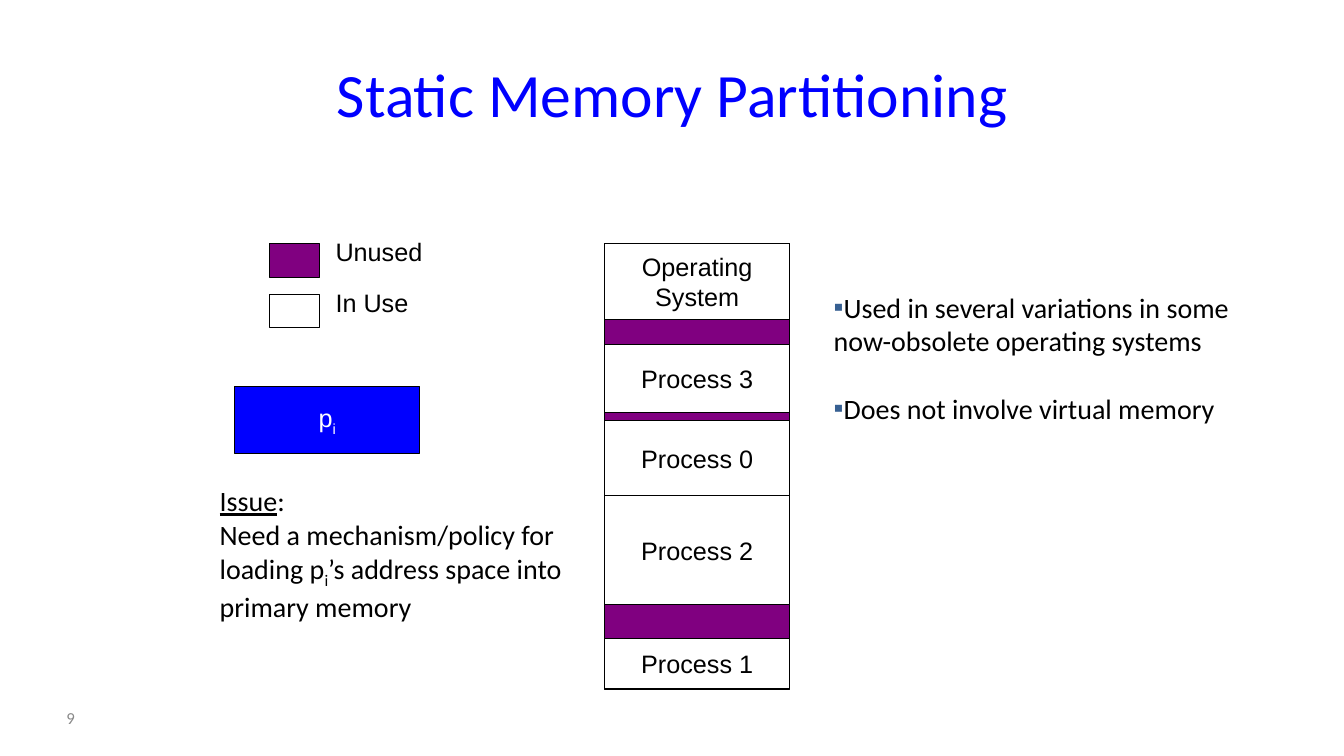
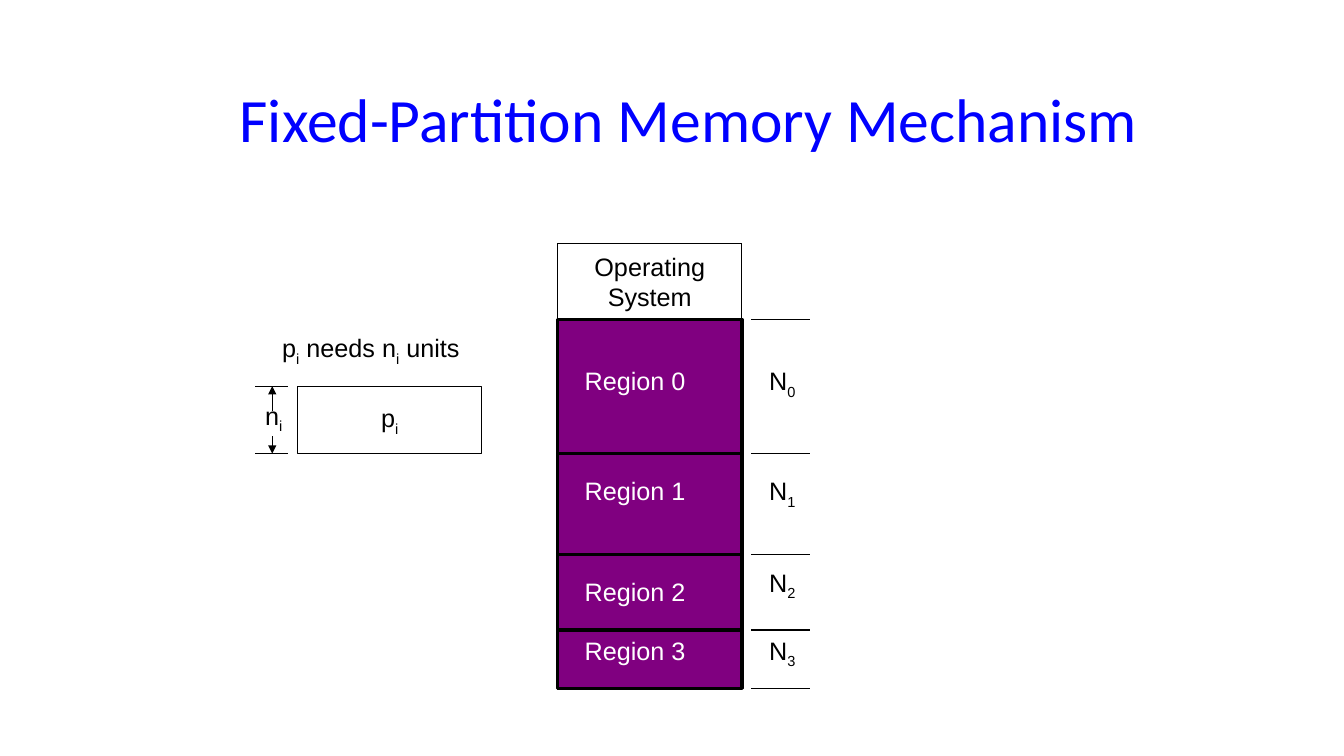
from itertools import pairwise

from lxml.etree import SubElement
from pptx import Presentation
from pptx.dml.color import RGBColor
from pptx.enum.shapes import MSO_CONNECTOR, MSO_SHAPE
from pptx.enum.text import MSO_ANCHOR, MSO_AUTO_SIZE, PP_ALIGN
from pptx.oxml.ns import qn
from pptx.util import Inches, Pt

BLACK = RGBColor(0x00, 0x00, 0x00)
WHITE = RGBColor(0xFF, 0xFF, 0xFF)
BLUE = RGBColor(0x00, 0x00, 0xFF)
PURPLE = RGBColor(0x80, 0x00, 0x80)
GREY = RGBColor(0x89, 0x89, 0x89)
BULLET_BLUE = "376092"

LABEL = {"name": "Arial", "size": Pt(18)}
BODY = {"name": "Calibri", "size": Pt(20)}
TITLE = {"name": "Calibri", "size": Pt(44)}
NUMBER = {"name": "Calibri", "size": Pt(12)}

MEMORY_TOP, MEMORY_HEIGHT, OS_HEIGHT = 2.42, 4.42, 0.75
BLOCK_WIDTH = 1.83
PROCESS_TOP, PROCESS_HEIGHT = 3.83, 0.67


class Deck:
    """Holds the presentation, its style and the slide being built."""

    def __init__(self):
        self.prs = Presentation()
        self.prs.slide_width, self.prs.slide_height = Inches(13.33), Inches(7.5)
        self.s = None

    def slide(self, title, *box):
        self.s = self.prs.slides.add_slide(self.prs.slide_layouts[6])
        self.text(title, *box, style=TITLE, color=BLUE, align=PP_ALIGN.CENTER,
                  anchor=MSO_ANCHOR.MIDDLE)

    def run(self, p, text, style, color, baseline=None):
        r = p.add_run()
        r.text = text
        for name, value in style.items():
            setattr(r.font, name, value)
        r.font.color.rgb = color
        if baseline:
            r.font._element.set("baseline", baseline)

    def runs(self, p, text, style, color):
        """Add text in which an underscore makes the next character a subscript."""
        first, *rest = text.split("_")
        self.run(p, first, style, color)
        for part in rest:
            self.run(p, part[0], style, color, "-25000")
            if part[1:]:
                self.run(p, part[1:], style, color)

    def paragraphs(self, tf, text, style, color, align):
        for i, line in enumerate(text.split("\n")):
            p = tf.paragraphs[0] if i == 0 else tf.add_paragraph()
            p.alignment = align
            self.runs(p, line, style, color)

    def text(self, text, x, y, w, h, style=LABEL, color=BLACK, wrap=True,
             align=PP_ALIGN.LEFT, anchor=MSO_ANCHOR.TOP):
        tf = self.s.shapes.add_textbox(*map(Inches, (x, y, w, h))).text_frame
        tf.word_wrap, tf.vertical_anchor = wrap, anchor
        self.paragraphs(tf, text, style, color, align)
        return tf

    def label(self, text, x, y, w, color=BLACK):
        tf = self.text(text, x, y, w, 0.4, color=color, wrap=False)
        tf.auto_size = MSO_AUTO_SIZE.SHAPE_TO_FIT_TEXT

    def bullets(self, items, x, y, w, h, gap):
        tf = self.text("\n".join(items), x, y, w, h, style=BODY)
        for i, p in enumerate(tf.paragraphs):
            if i:
                p.space_before = gap
            pPr = p._p.get_or_add_pPr()
            pPr.set("marL", "0")
            pPr.set("indent", "0")
            SubElement(SubElement(pPr, qn("a:buClr")), qn("a:srgbClr"), val=BULLET_BLUE)
            SubElement(pPr, qn("a:buFont"), typeface="Arial")
            SubElement(pPr, qn("a:buChar"), char="▪")

    def rect(self, x, y, w, h, fill=WHITE, text="", color=BLACK, weight=0.75):
        shape = self.s.shapes.add_shape(MSO_SHAPE.RECTANGLE, *map(Inches, (x, y, w, h)))
        shape.shadow.inherit = False
        if fill is None:
            shape.fill.background()
        else:
            shape.fill.solid()
            shape.fill.fore_color.rgb = fill
        shape.line.color.rgb, shape.line.width = BLACK, Pt(weight)
        if text:
            tf = shape.text_frame
            tf.word_wrap, tf.vertical_anchor = False, MSO_ANCHOR.MIDDLE
            self.paragraphs(tf, text, LABEL, color, PP_ALIGN.CENTER)

    def memory(self, x):
        """Draw the memory column with the operating system on top."""
        self.rect(x, MEMORY_TOP, BLOCK_WIDTH, MEMORY_HEIGHT, PURPLE)
        self.rect(x, MEMORY_TOP, BLOCK_WIDTH, OS_HEIGHT, text="Operating\nSystem")

    def line(self, x1, y1, x2, y2, arrow=False):
        line = self.s.shapes.add_connector(MSO_CONNECTOR.STRAIGHT,
                                           *map(Inches, (x1, y1, x2, y2)))
        line.line.color.rgb, line.line.width = BLACK, Pt(0.75)
        if arrow:
            SubElement(line.line._get_or_add_ln(), qn("a:tailEnd"), type="triangle")
        SubElement(line._element.spPr, qn("a:effectLst"))


def static_partitioning(deck):
    deck.slide("Static Memory Partitioning", 0.67, 0.3, 12, 1.25)
    deck.bullets(["Used in several variations in some now-obsolete operating systems",
                  "Does not involve virtual memory"], 8.17, 2.83, 4.33, 2.92, Pt(24))
    deck.text("9", 0.56, 6.92, 1.44, 0.4, style=NUMBER, color=GREY,
              anchor=MSO_ANCHOR.MIDDLE)

    memory_x = 6
    deck.memory(memory_x)
    for number, top, height in [(3, 3.42, 0.67), (0, 4.17, 0.75),
                                (2, 4.92, 1.08), (1, 6.33, 0.5)]:
        deck.rect(memory_x, top, BLOCK_WIDTH, height, text=f"Process {number}")

    for i, (name, fill, width) in enumerate([("Unused", PURPLE, 1.07),
                                             ("In Use", WHITE, 0.93)]):
        top = MEMORY_TOP + i * 0.5
        deck.rect(2.67, top, 0.5, 0.33, fill)
        deck.label(name, 3.23, top - 0.12, width)

    tf = deck.text("Issue", 2.08, 4.75, 3.77, 1.45, style=BODY | {"underline": True})
    deck.run(tf.paragraphs[0], ":", BODY, BLACK)
    deck.runs(tf.add_paragraph(), "Need a mechanism/policy for loading p_i’s "
              "address space into primary memory", BODY, BLACK)
    deck.rect(2.33, PROCESS_TOP, BLOCK_WIDTH, PROCESS_HEIGHT, BLUE, "p_i", WHITE)


def fixed_partitions(deck):
    deck.slide("Fixed-Partition Memory Mechanism", 1.42, 0.33, 10.83, 1.67)

    memory_x = 5.53
    deck.memory(memory_x)
    edges = [3.17, 4.5, 5.5, 6.25, 6.83]
    for top, bottom in pairwise(edges):
        deck.rect(memory_x, top, BLOCK_WIDTH, bottom - top, None, weight=2.25)
    for i, (region_y, size_y) in enumerate([(3.58, 3.58), (4.67, 4.67),
                                            (5.67, 5.58), (6.25, 6.25)]):
        deck.label(f"Region {i}", 5.7, region_y, 1.21, WHITE)
        deck.label(f"N_{i}", 7.53, size_y, 0.48)
    for edge in edges:
        deck.line(7.45, edge, 8.03, edge)

    process_bottom = PROCESS_TOP + PROCESS_HEIGHT
    deck.rect(2.95, PROCESS_TOP, BLOCK_WIDTH, PROCESS_HEIGHT, text="p_i")
    deck.label("p_i needs n_i units", 2.7, 3.25, 1.99)
    deck.label("n_i", 2.53, 3.92, 0.38)
    for start, edge in [(4.08, PROCESS_TOP), (4.33, process_bottom)]:
        deck.line(2.53, edge, 2.86, edge)
        deck.line(2.7, start, 2.7, edge, arrow=True)


def main():
    deck = Deck()
    static_partitioning(deck)
    fixed_partitions(deck)
    deck.prs.save("out.pptx")


if __name__ == "__main__":
    main()
